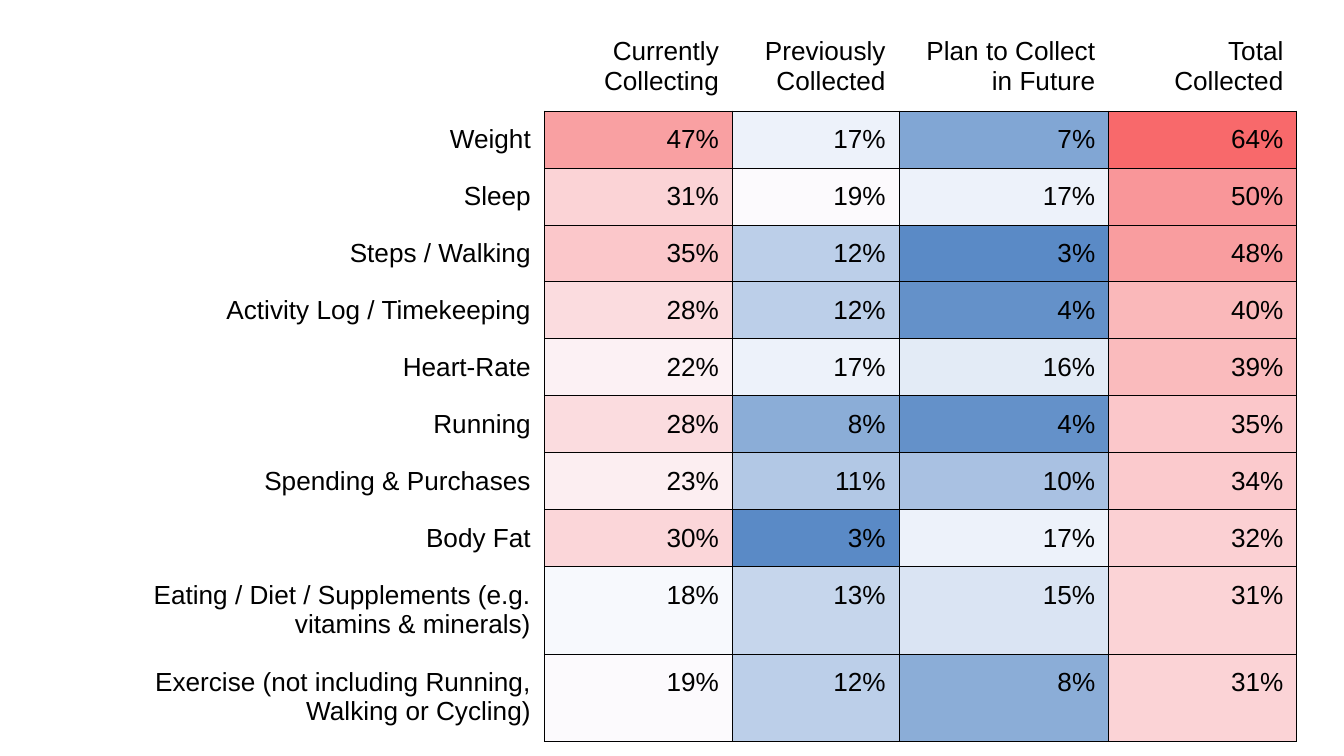
from dataclasses import dataclass

from pptx import Presentation
from pptx import util as u
from pptx.dml.color import RGBColor
from pptx.enum import text
from pptx.oxml import ns, xmlchemy


@dataclass(frozen=True)
class Theme:
    font: str = "Arial"
    size: int = 14
    ink: str = "000000"
    border: float = 0.5
    inset: float = 0.1
    low: str = "5A8AC6"
    middle: str = "FCFCFF"
    high: str = "F8696B"
    respondents: int = 106
    low_count: int = 3
    middle_count: float = 19.5
    high_count: int = 68

    def heat(self, percent):
        count = round(percent * self.respondents / 100)
        if count < self.middle_count:
            end, end_count = self.low, self.low_count
        else:
            end, end_count = self.high, self.high_count
        share = (count - self.middle_count) / (end_count - self.middle_count)
        pairs = zip(RGBColor.from_string(self.middle), RGBColor.from_string(end))
        return RGBColor(*(round(a + (b - a) * share) for a, b in pairs))


class SlideBuilder:
    NO_STYLE = "{2D5ABB26-0587-4C30-8999-92F81FD0307C}"

    def __init__(self, deck, theme):
        self.deck = deck
        self.theme = theme
        self.slide = deck.slides.add_slide(deck.slide_layouts[6])

    def across(self, percent):
        return round(self.deck.slide_width * percent / 100)

    def down(self, percent):
        return round(self.deck.slide_height * percent / 100)

    def table(self, left, top, widths, heights):
        frame = self.slide.shapes.add_table(
            len(heights), len(widths), self.across(left), self.down(top),
            self.across(sum(widths)), self.down(sum(heights)))
        table = frame.table
        table.first_row = table.horz_banding = False
        table._tbl.tblPr.find(ns.qn("a:tableStyleId")).text = self.NO_STYLE
        for column, width in zip(table.columns, widths):
            column.width = self.across(width)
        for row, height in zip(table.rows, heights):
            row.height = self.down(height)
        return table

    def borders(self, cell, sides):
        properties = cell._tc.get_or_add_tcPr()
        for side in sides:
            line = xmlchemy.OxmlElement(f"a:ln{side}")
            line.set("w", str(u.Pt(self.theme.border)))
            fill = xmlchemy.OxmlElement("a:solidFill")
            color = xmlchemy.OxmlElement("a:srgbClr")
            color.set("val", self.theme.ink)
            fill.append(color)
            line.append(fill)
            properties.append(line)

    def cell(self, cell, content, sides, fill=None):
        inset = u.Inches(self.theme.inset)
        cell.margin_left = cell.margin_right = inset
        cell.margin_top = cell.margin_bottom = inset
        cell.text = content
        paragraph = cell.text_frame.paragraphs[0]
        paragraph.alignment = text.PP_ALIGN.RIGHT
        paragraph.font.name = self.theme.font
        paragraph.font.size = u.Pt(self.theme.size)
        paragraph.font.color.rgb = RGBColor.from_string(self.theme.ink)
        self.borders(cell, sides)
        if fill is None:
            cell.fill.background()
        else:
            cell.fill.solid()
            cell.fill.fore_color.rgb = fill

    def heatmap(self, left, top, widths, heights, headings, measures):
        table = self.table(left, top, widths, heights)
        for column, heading in enumerate(headings):
            self.cell(table.cell(0, column), heading, "B" if heading else "")
        for row, (measure, *percents) in enumerate(measures, 1):
            self.cell(table.cell(row, 0), measure, "R")
            for column, percent in enumerate(percents, 1):
                self.cell(table.cell(row, column), f"{percent}%", "LRTB",
                          self.theme.heat(percent))


HEADINGS = ["", "Currently Collecting", "Previously Collected",
            "Plan to Collect in Future", "Total Collected"]
MEASURES = [
    ("Weight", 47, 17, 7, 64),
    ("Sleep", 31, 19, 17, 50),
    ("Steps / Walking", 35, 12, 3, 48),
    ("Activity Log / Timekeeping", 28, 12, 4, 40),
    ("Heart-Rate", 22, 17, 16, 39),
    ("Running", 28, 8, 4, 35),
    ("Spending & Purchases", 23, 11, 10, 34),
    ("Body Fat", 30, 3, 17, 32),
    ("Eating / Diet / Supplements (e.g. vitamins & minerals)", 18, 13, 15, 31),
    ("Exercise (not including Running, Walking or Cycling)", 19, 12, 8, 31),
]


def main():
    deck = Presentation()
    deck.slide_width = u.Inches(10)
    deck.slide_height = deck.slide_width * 9 // 16
    one_line, two_lines = 7.54, 11.58
    heights = [two_lines] + [one_line] * 8 + [two_lines] * 2
    builder = SlideBuilder(deck, Theme())
    builder.heatmap(3.5, 3.1, [37, 14, 12.4, 15.6, 14], heights,
                    HEADINGS, MEASURES)
    deck.save("out.pptx")


if __name__ == "__main__":
    main()
